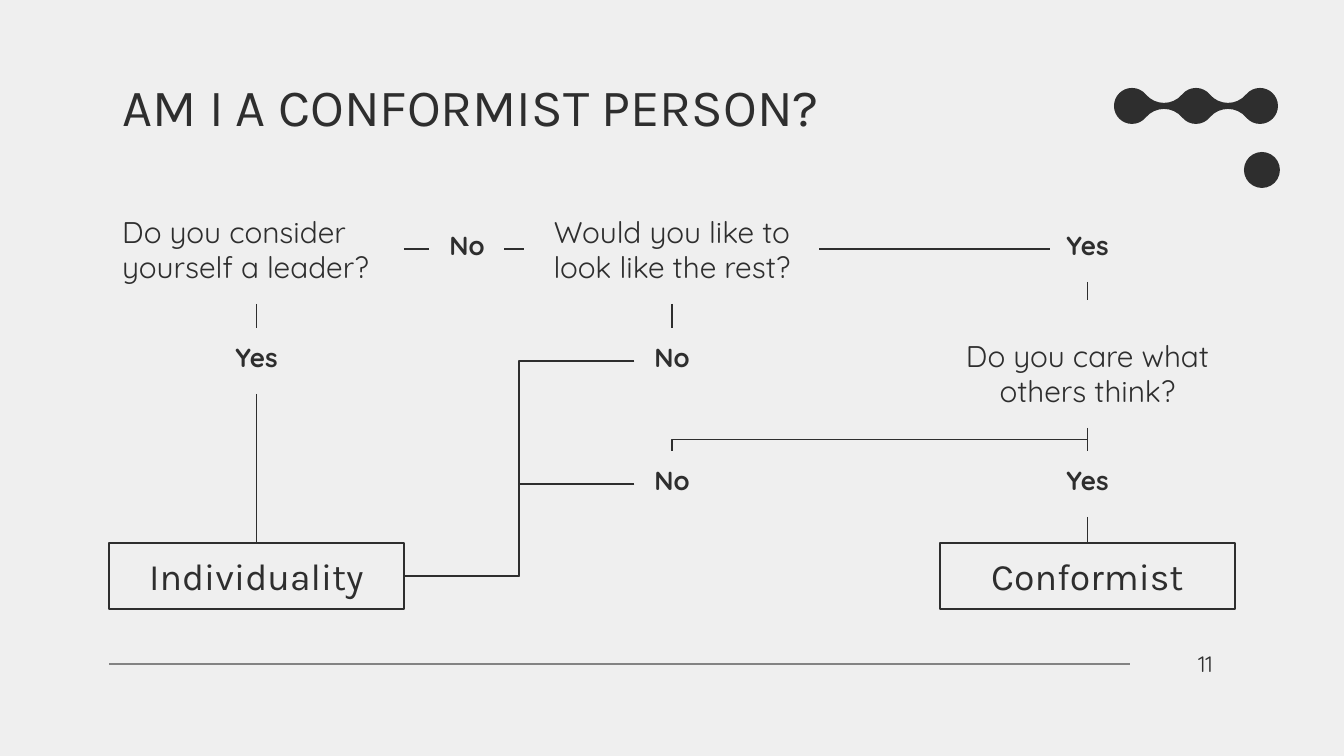
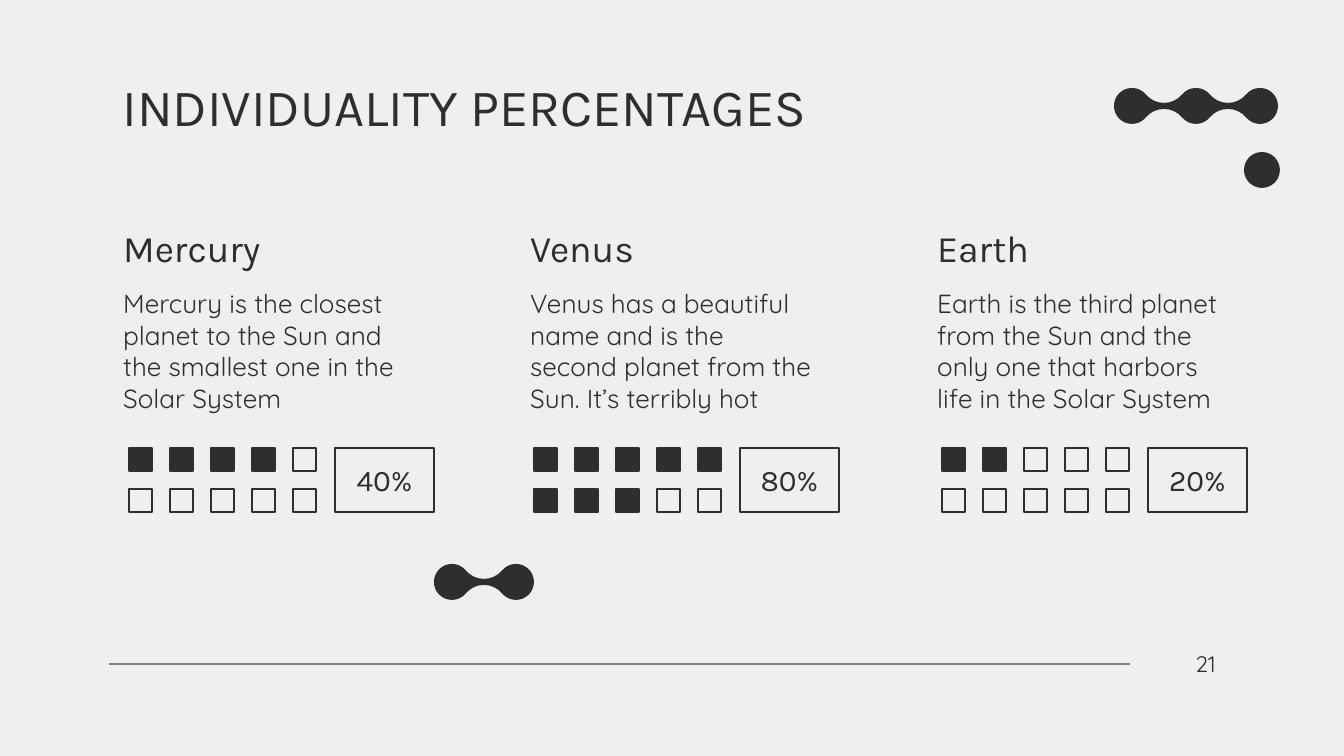
import math

import lxml.etree
import pptx
import pptx.dml.color
import pptx.enum.shapes
import pptx.enum.text
import pptx.oxml.ns
import pptx.util

EMU_PER_PX = 914400 / 134.4
INK, PAPER, RULE = "2E2E2E", "EFEFEF", "838383"
HEAD_FONT, BODY_FONT = "Karla", "Quicksand"
LEFT, CENTER = pptx.enum.text.PP_ALIGN.LEFT, pptx.enum.text.PP_ALIGN.CENTER
TOP, MIDDLE = pptx.enum.text.MSO_ANCHOR.TOP, pptx.enum.text.MSO_ANCHOR.MIDDLE
SHAPES = pptx.enum.shapes.MSO_SHAPE
CONNECTORS = pptx.enum.shapes.MSO_CONNECTOR
INSET = pptx.util.Inches(0.1)

PLANETS = [
    ("Mercury", "Mercury is the closest planet to the Sun and the smallest one in the Solar System", 4, 19),
    ("Venus", "Venus has a beautiful name and is the second planet from the Sun. It’s terribly hot", 8, 17),
    ("Earth", "Earth is the third planet from the Sun and the only one that harbors life in the Solar System", 2, 18),
]


def px(length):
    """Turn a length in px into EMU."""
    return pptx.util.Emu(round(length * EMU_PER_PX))


def color(hex_code):
    """Turn a hex string into a colour."""
    return pptx.dml.color.RGBColor.from_string(hex_code)


def write(shape, text, size, font, align=LEFT, anchor=MIDDLE, bold=False):
    """Write one styled run into a shape."""
    frame = shape.text_frame
    frame.word_wrap = True
    frame.auto_size = pptx.enum.text.MSO_AUTO_SIZE.NONE
    frame.vertical_anchor = anchor
    frame.margin_left = frame.margin_right = INSET
    frame.margin_top = frame.margin_bottom = INSET
    paragraph = frame.paragraphs[0]
    paragraph.alignment = align
    run = paragraph.add_run()
    run.text = text
    run.font.size = pptx.util.Pt(size)
    run.font.name = font
    run.font.bold = bold
    run.font.color.rgb = color(INK)


def label(slide, box, text, size, font, **style):
    """Add a text box."""
    write(slide.shapes.add_textbox(*map(px, box)), text, size, font, **style)


def outlined(slide, box, fill=None):
    """Add a rectangle with a thin dark outline."""
    rectangle = slide.shapes.add_shape(SHAPES.RECTANGLE, *map(px, box))
    rectangle.shadow.inherit = False
    if fill:
        rectangle.fill.solid()
        rectangle.fill.fore_color.rgb = color(fill)
    else:
        rectangle.fill.background()
    rectangle.line.color.rgb = color(INK)
    rectangle.line.width = pptx.util.Pt(0.75)
    return rectangle


def link(slide, start, end, stroke=INK, kind=CONNECTORS.STRAIGHT):
    """Join two points with a thin connector."""
    connector = slide.shapes.add_connector(kind, *map(px, start + end))
    connector.line.color.rgb = color(stroke)
    connector.line.width = pptx.util.Pt(0.75)
    lxml.etree.SubElement(connector._element.spPr, pptx.oxml.ns.qn("a:effectLst"))
    return connector


def drop_link(slide, start, end):
    """Join a point to one lower left by an elbow that leaves downwards."""
    (x1, y1), (x2, y2) = start, end
    middle_x, middle_y = (x1 + x2) / 2, (y1 + y2) / 2
    half_drop, half_run = (y2 - y1) / 2, (x1 - x2) / 2
    elbow = link(slide, (middle_x - half_drop, middle_y - half_run),
                 (middle_x + half_drop, middle_y + half_run), kind=CONNECTORS.ELBOW)
    elbow._element.spPr.xfrm.set("rot", str(90 * 60000))


def ink_fill(shape):
    """Fill a shape with ink and drop its outline and shadow."""
    shape.shadow.inherit = False
    shape.fill.solid()
    shape.fill.fore_color.rgb = color(INK)
    shape.line.fill.background()


def arc(x, y, radius, start, end):
    """Give the two control points and the end point of a circular arc."""
    pull = 4 / 3 * math.tan((end - start) / 4)
    return [
        (x + radius * (math.cos(angle) - turn * math.sin(angle)),
         y + radius * (math.sin(angle) + turn * math.cos(angle)))
        for angle, turn in ((start, pull), (end, -pull), (end, 0))
    ]


def curve_segments(freeform):
    """Turn each three line segments of a freeform into one Bezier curve."""
    corners = list(freeform._element.iter(pptx.oxml.ns.qn("a:lnTo")))
    for first, second, third in zip(*[iter(corners)] * 3):
        curve = lxml.etree.Element(pptx.oxml.ns.qn("a:cubicBezTo"))
        first.addprevious(curve)
        for corner in (first, second, third):
            curve.append(corner[0])
            corner.getparent().remove(corner)


def bead_chain(slide, left, middle, count):
    """Draw round beads joined by curved necks."""
    radius, pitch, neck = 18, 64, 3
    half = pitch / 2
    fillet = (half**2 + neck**2 - radius**2) / (2 * (radius - neck))
    tangent = math.atan2(fillet + neck, half)
    length = pitch * (count - 1) + 2 * radius
    upper = []
    for bead in range(count):
        x = radius + pitch * bead
        last = bead == count - 1
        upper += arc(x, 0, radius, tangent - math.pi if bead else -math.pi, -math.pi / 2)
        upper += arc(x, 0, radius, -math.pi / 2, 0 if last else -tangent)
        if not last:
            upper += arc(x + half, -fillet - neck, fillet, math.pi - tangent, tangent)
    outline = upper + [(length - x, -y) for x, y in upper]
    builder = slide.shapes.build_freeform(px(left), px(middle))
    builder.add_line_segments([(px(left + x), px(middle + y)) for x, y in outline], close=True)
    chain = builder.convert_to_shape()
    curve_segments(chain)
    ink_fill(chain)


def framed_slide(deck, title, number):
    """Add a slide with its title, ornament, footer rule and number."""
    slide = deck.slides.add_slide(deck.slide_layouts[5])
    heading = slide.shapes.title
    heading.left, heading.top, heading.width, heading.height = map(px, (109, 78, 964, 56))
    write(heading, title, 28, HEAD_FONT)
    link(slide, (1130, 664), (109, 664), RULE)
    ink_fill(slide.shapes.add_shape(SHAPES.OVAL, *map(px, (1244, 152, 36, 36))))
    bead_chain(slide, 1114, 106, 3)
    label(slide, (1176, 650, 59, 28), number, 12, BODY_FONT, align=CENTER)
    return slide


def flowchart(slide, left, top):
    """Draw the questions, answers, outcomes and the links between them."""
    width, question_height, answer_width, answer_height = 295, 110, 75, 66
    columns = [left + 831 * index / 2 for index in range(3)]
    leader, rest, opinion = [column + width / 2 for column in columns]
    asked, first, second, outcome = top + 22, top + 134, top + 257, top + 349
    care = top + 124
    aside = left + 358
    half = answer_width / 2

    for column, row, question, align in (
        (columns[0], top, "Do you consider yourself a leader?", LEFT),
        (columns[1], top, "Would you like to look like the rest?", CENTER),
        (columns[2], care, "Do you care what others think?", CENTER),
    ):
        label(slide, (column, row, width, question_height), question, 16, BODY_FONT, align=align)

    for center, row, answer in (
        (leader, first, "Yes"), (aside, asked, "No"), (rest, first, "No"),
        (opinion, asked, "Yes"), (opinion, second, "Yes"), (rest, second, "No"),
    ):
        label(slide, (center - half, row, answer_width, answer_height), answer, 14, BODY_FONT,
              align=CENTER, anchor=TOP, bold=True)

    for column, result in ((columns[0], "Individuality"), (columns[2], "Conformist")):
        write(outlined(slide, (column, outcome, width, 66)), result, 20, HEAD_FONT, align=CENTER)

    level = top + question_height // 2
    for start, end in (
        (columns[0] + width, aside - half),
        (aside + half, columns[1]),
        (columns[1] + width, opinion - half),
    ):
        link(slide, (start, level), (end, level))

    for center, start, end in (
        (leader, top + question_height, first),
        (leader, first + answer_height, outcome),
        (rest, top + question_height, first),
        (opinion, asked + answer_height, care - 18),
        (opinion, care + question_height, second),
        (opinion, second + answer_height, outcome),
    ):
        link(slide, (center, start), (center, end))

    drop_link(slide, (opinion, care + question_height), (rest, second))
    for row in (first, second):
        link(slide, (rest - half, row + answer_height // 2), (columns[0] + width, outcome + 33),
             kind=CONNECTORS.ELBOW)


def planet_column(slide, left, top, planet):
    """Draw a planet's heading, description, ten-square meter and share."""
    name, description, filled, meter_offset = planet
    label(slide, (left, top, 309, 50), name, 20, HEAD_FONT)
    label(slide, (left, top + 58, 309, 139), description, 14, BODY_FONT)
    meter_left, meter_top = left + meter_offset, top + 225
    for index in range(10):
        row, column = divmod(index, 5)
        outlined(slide, (meter_left + 41 * column, meter_top + 41 * row, 23, 23),
                 INK if index < filled else PAPER)
    share = outlined(slide, (meter_left + 206, meter_top, 99, 64), PAPER)
    write(share, f"{filled * 10}%", 16, HEAD_FONT, align=CENTER)


def main():
    """Build the deck and save it."""
    deck = pptx.Presentation()
    deck.slide_width, deck.slide_height = px(1344), px(756)
    backdrop = deck.slide_master.background.fill
    backdrop.solid()
    backdrop.fore_color.rgb = color(PAPER)

    flowchart(framed_slide(deck, "AM I A CONFORMIST PERSON?", "11"), 109, 194)

    percentages = framed_slide(deck, "INDIVIDUALITY PERCENTAGES", "21")
    for index, planet in enumerate(PLANETS):
        planet_column(percentages, 110 + 407 * index, 223, planet)
    bead_chain(percentages, 434, 582, 2)

    deck.save("out.pptx")


if __name__ == "__main__":
    main()
